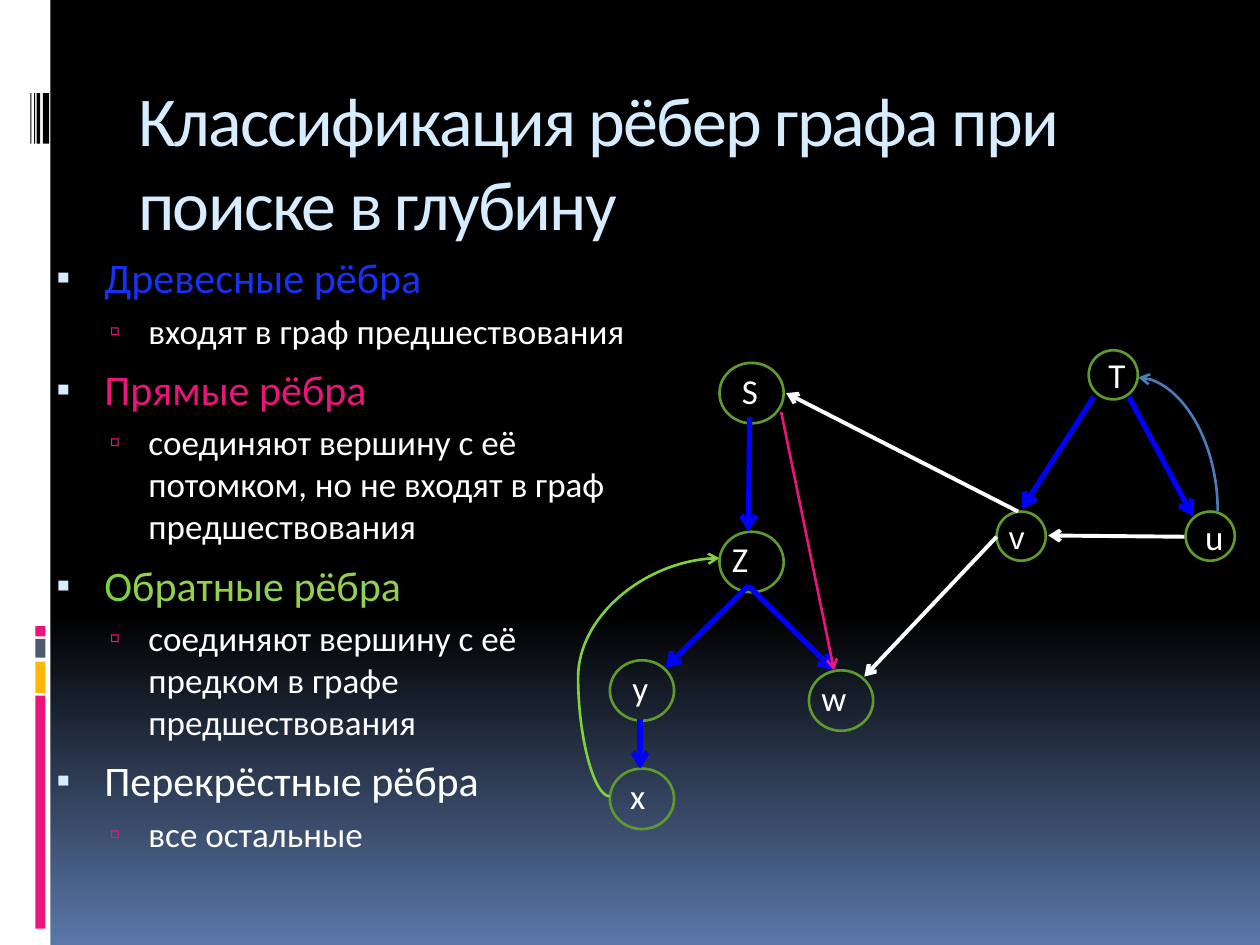
import pptx
import pptx.util
import pptx.dml.color
import pptx.enum.shapes
import pptx.enum.text
import pptx.oxml.ns
import lxml.etree

Inches, Pt = pptx.util.Inches, pptx.util.Pt
SHAPE = pptx.enum.shapes.MSO_SHAPE
LINK = pptx.enum.shapes.MSO_CONNECTOR
qn = pptx.oxml.ns.qn

WHITE, BLACK, PINK, GREEN, PALE = "FFFFFF", "000000", "EA157A", "7FD13B", "D6ECFF"
TREE, RING, BACK = "0000FF", "5E9B2C", "4A7EBB"

TITLE = "Классификация рёбер графа при поиске в глубину"
# Each edge class: heading runs with colours, then its explanation
EDGE_CLASSES = [
    ([("Древесные рёбра", "1731F5")], "входят в граф предшествования"),
    ([("Прямые рёбра", PINK)],
     "соединяют вершину с её потомком, но не входят в граф предшествования"),
    ([("О", GREEN), ("братные рёбра", "92D050")],
     "соединяют вершину с её предком в графе предшествования"),
    ([("Перекрёстные рёбра", WHITE)], "все остальные"),
]
# Sidebar bars: left, top, width, height, colour
BARS = [
    (0, 0, 0.4, 7.5, WHITE),
    (0.28, 5.52, 0.08, 1.85, PINK),
    (0.28, 5.25, 0.08, 0.25, "FEB80A"),
    (0.28, 5.07, 0.08, 0.15, "4E5B6F"),
    (0.28, 4.97, 0.08, 0.08, PINK),
] + [(x, 0.74, w, 0.4, BLACK)
     for x, w in ((0.34, 0.05), (0.29, 0.03), (0.27, 0.01), (0.24, 0.01))]
BIG, SMALL = (0.51, 0.48), (0.39, 0.39)
# Vertices: left, top, size, text inside
VERTICES = [
    (5.71, 4.22, BIG, ""), (4.84, 6.1, BIG, ""), (5.71, 2.88, BIG, ""),
    (6.42, 5.32, BIG, ""), (4.84, 5.24, BIG, ""), (7.91, 4.06, SMALL, ""),
    (9.41, 4.06, SMALL, "u"), (8.64, 2.78, SMALL, "T"),
]
# Separate labels: text, left, top, width, wrap, size, font
LABELS = [
    ("Z", 5.71, 4.22, 0.45, True, 20, "Calibri"),
    ("w", 6.42, 5.32, 0.4, False, 20, "Calibri"),
    ("S", 5.79, 2.88, 0.33, False, 20, "Calibri"),
    (" x", 4.84, 6.1, 0.39, True, 20, "Calibri"),
    ("y", 4.92, 5.24, 0.33, False, 20, "Calibri"),
    ("v", 7.91, 4.06, 0.33, False, 18, "Arial"),
]
# Straight edges by colour and width: from x, y, to x, y
EDGES = [
    (TREE, 3, [(5.08, 5.71, 5.08, 6.1), (5.95, 3.31, 5.94, 4.22),
               (5.94, 4.65, 6.62, 5.32), (5.94, 4.65, 5.28, 5.3),
               (8.68, 3.15, 8.11, 4.04), (8.96, 3.15, 9.47, 4.1)]),
    (WHITE, 2.25, [(9.4, 4.26, 8.32, 4.25), (7.91, 4.26, 6.86, 5.37),
                   (8.08, 4.06, 6.24, 3.12)]),
    (PINK, 1.5, [(6.2, 3.27, 6.62, 5.32)]),
]
# Curved edges: box before turning, degrees, preset, adjustment, colour
CURVES = [
    (8.82, 3.21, 1.06, 0.63, 90, "curvedConnector2", None, BACK),
    (4.84, 4.43, 0.87, 1.89, 180, "curvedConnector3", -28900, GREEN),
]


def rgb(color):
    """Turn a hex string into a colour."""
    return pptx.dml.color.RGBColor.from_string(color)


def style(r, size, color, font="Calibri"):
    """Format one run."""
    r.font.size, r.font.name = Pt(size), font
    r.font.color.rgb = rgb(color)


def text_box(s, x, y, w, h, wrap=True):
    """Add an empty text box and return its frame."""
    tf = s.shapes.add_textbox(Inches(x), Inches(y), Inches(w), Inches(h)).text_frame
    tf.word_wrap = wrap
    return tf


def shape(s, kind, x, y, w, h, fill=None, line=None):
    """Add a shape with an optional fill and outline."""
    sp = s.shapes.add_shape(kind, Inches(x), Inches(y), Inches(w), Inches(h))
    sp.shadow.inherit = False
    if fill:
        sp.fill.solid()
        sp.fill.fore_color.rgb = rgb(fill)
    else:
        sp.fill.background()
    if line:
        sp.line.color.rgb, sp.line.width = rgb(line), Pt(1.5)
    else:
        sp.line.fill.background()
    return sp


def arrow(s, kind, x1, y1, x2, y2, color, width):
    """Add a connector with an open arrowhead at its end."""
    c = s.shapes.add_connector(kind, Inches(x1), Inches(y1), Inches(x2), Inches(y2))
    c.line.color.rgb, c.line.width = rgb(color), Pt(width)
    lxml.etree.SubElement(c.line._get_or_add_ln(), qn("a:tailEnd"), type="arrow")
    lxml.etree.SubElement(c._element.spPr, qn("a:effectLst"))
    return c


def curve(s, x, y, w, h, turn, preset, adj, color):
    """Add a mirrored and turned curved arrow."""
    c = arrow(s, LINK.CURVE, x + w, y, x, y + h, color, 1.5)
    sp_pr = c._element.spPr
    sp_pr.find(qn("a:xfrm")).set("rot", str(turn * 60000))
    geom = sp_pr.find(qn("a:prstGeom"))
    geom.set("prst", preset)
    if adj is not None:
        lxml.etree.SubElement(geom.find(qn("a:avLst")), qn("a:gd"),
                              name="adj1", fmla=f"val {adj}")


def bullet(p, char, color, percent, left, hang, before):
    """Give a paragraph a bullet, a hanging indent and space above."""
    p.space_before = Pt(before)
    ppr = p._p.get_or_add_pPr()
    ppr.set("marL", str(Inches(left)))
    ppr.set("indent", str(-Inches(hang)))
    clr = lxml.etree.SubElement(ppr, qn("a:buClr"))
    lxml.etree.SubElement(clr, qn("a:srgbClr"), val=color)
    lxml.etree.SubElement(ppr, qn("a:buSzPct"), val=str(percent * 1000))
    lxml.etree.SubElement(ppr, qn("a:buFont"), typeface="Arial")
    lxml.etree.SubElement(ppr, qn("a:buChar"), char=char)


def edge_list(s):
    """Write the list of edge classes."""
    tf = text_box(s, 0.35, 1.95, 4.73, 5)
    p = tf.paragraphs[0]
    for i, (heading, detail) in enumerate(EDGE_CLASSES):
        if i:
            p = tf.add_paragraph()
        bullet(p, "▪", PALE, 95, 0.38, 0.38, 7)
        for text, color in heading:
            r = p.add_run()
            r.text = text
            style(r, 24, color)
        p = tf.add_paragraph()
        p.level = 1
        p.text = detail
        bullet(p, "▫", PINK, 90, 0.73, 0.31, 4)
        style(p.runs[0], 20, WHITE)


prs = pptx.Presentation()
prs.slide_width, prs.slide_height = Inches(10), Inches(7.5)
s = prs.slides.add_slide(prs.slide_layouts[6])
bg = s.background.fill
bg.gradient()
bg.gradient_angle = 270
for stop, position, color in zip(bg.gradient_stops, (0.65, 1), (BLACK, "5B77A8")):
    stop.position, stop.color.rgb = position, rgb(color)

for x, y, w, h, color in BARS:
    shape(s, SHAPE.RECTANGLE, x, y, w, h, fill=color)
for x, y, size, text in VERTICES:
    sp = shape(s, SHAPE.OVAL, x, y, *size, line=RING)
    if text:
        tf = sp.text_frame
        tf.text = text
        tf.vertical_anchor = pptx.enum.text.MSO_ANCHOR.MIDDLE
        tf.paragraphs[0].alignment = pptx.enum.text.PP_ALIGN.CENTER
        style(tf.paragraphs[0].runs[0], 20, WHITE)
for text, x, y, w, wrap, size, font in LABELS:
    tf = text_box(s, x, y, w, 0.43 if size == 20 else 0.4, wrap)
    tf.text = text
    style(tf.paragraphs[0].runs[0], size, WHITE, font)
for color, width, lines in EDGES:
    for ends in lines:
        arrow(s, LINK.STRAIGHT, *ends, color, width)
for row in CURVES:
    curve(s, *row)

tf = text_box(s, 1, 0.56, 8.5, 1)
tf.text = TITLE
r = tf.paragraphs[0].runs[0]
style(r, 40, PALE)
r.font._element.set("spc", "-100")
edge_list(s)
prs.save("out.pptx")
